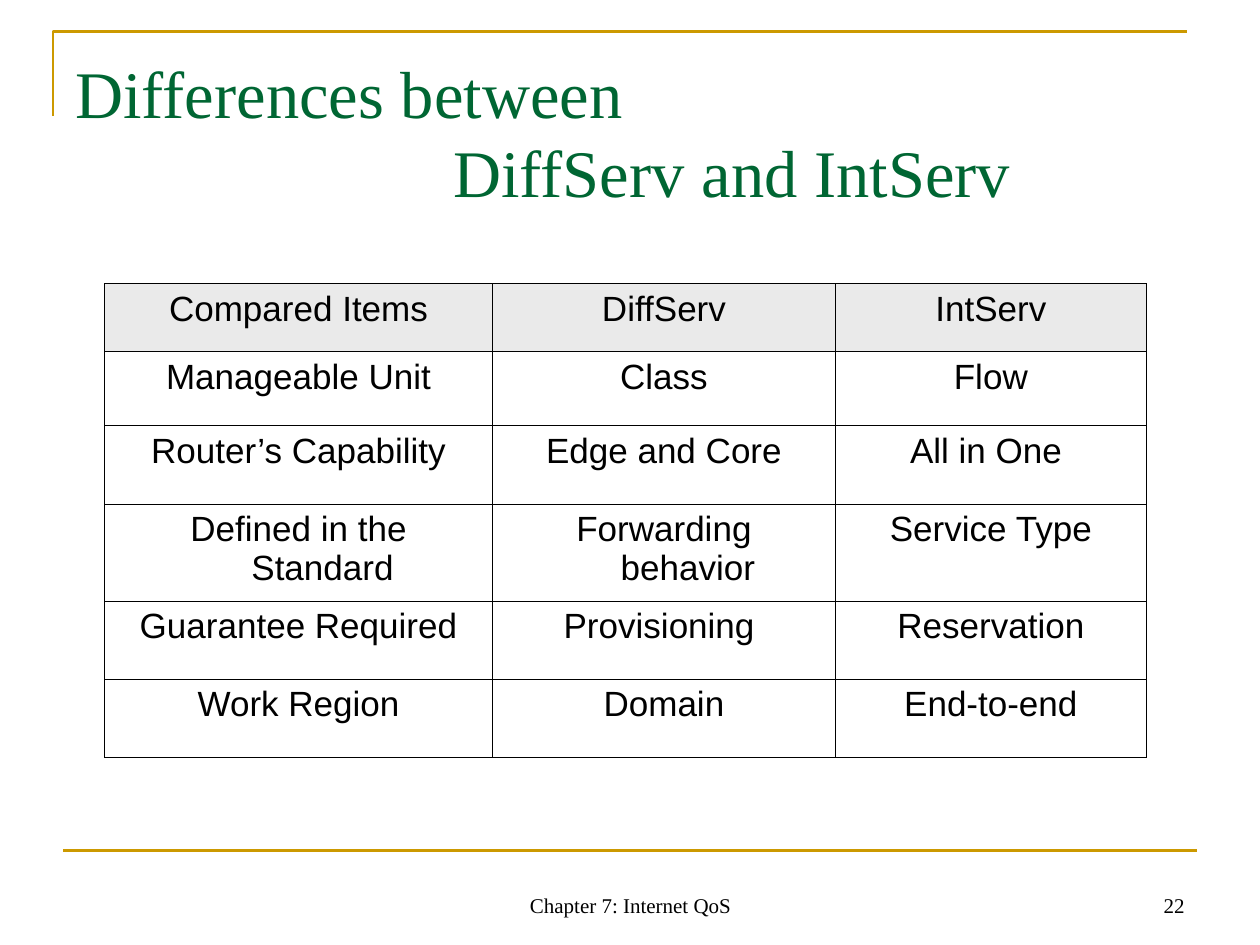
from dataclasses import dataclass

from lxml.etree import SubElement
from pptx import Presentation
from pptx.dml.color import RGBColor as Color
from pptx.enum.shapes import MSO_CONNECTOR as Connector
from pptx.enum.text import MSO_ANCHOR as Anchor, PP_ALIGN as Align
from pptx.oxml.ns import qn
from pptx.util import Inches, Pt


@dataclass(frozen=True)
class Theme:
    gold: Color = Color.from_string("CC9900")
    green: Color = Color.from_string("006633")
    black: Color = Color.from_string("000000")
    white: Color = Color.from_string("FFFFFF")
    header: Color = Color.from_string("EAEAEA")
    serif: str = "Times New Roman"
    sans: str = "Arial"
    title_size: int = 38
    table_size: int = 20
    footer_size: int = 12
    rule_width: float = 1.5
    border_width: float = 0.45


theme = Theme()


def style_para(para, text, name, size, color, align=Align.LEFT, left=0, hanging=0):
    para.text = text
    para.alignment = align
    para.font.name = name
    para.font.size = Pt(size)
    para.font.color.rgb = color
    properties = para._p.get_or_add_pPr()
    properties.set("marL", str(Inches(left)))
    properties.set("indent", str(-Inches(hanging)))


def add_box(left, top, width, height, anchor):
    box = page.shapes.add_textbox(Inches(left), Inches(top), Inches(width), Inches(height))
    box.text_frame.word_wrap = True
    box.text_frame.vertical_anchor = anchor
    return box.text_frame


deck = Presentation()
deck.slide_width, deck.slide_height = Inches(10), Inches(7.5)
page = deck.slides.add_slide(deck.slide_layouts[6])

builder = page.shapes.build_freeform(Inches(0.42), Inches(0.92))
builder.add_line_segments([(Inches(0.42), Inches(0.25)), (Inches(9.42), Inches(0.25))], close=False)
corner = builder.convert_to_shape()
corner.shadow.inherit = False
corner.fill.background()
rule = page.shapes.add_connector(Connector.STRAIGHT, Inches(0.5), Inches(6.75), Inches(9.5), Inches(6.75))
SubElement(rule._element.spPr, qn("a:effectLst"))
for outline in (corner.line, rule.line):
    outline.color.rgb = theme.gold
    outline.width = Pt(theme.rule_width)

title = add_box(0.5, 0.3, 9, 1.25, Anchor.TOP)
title.margin_top = Inches(0.11)
for text, left in (("Differences between", 0), ("DiffServ and IntServ", 3)):
    para = title.paragraphs[0] if left == 0 else title.add_paragraph()
    style_para(para, text, theme.serif, theme.title_size, theme.green, left=left)

rows = [
    ("Compared Items", "DiffServ", "IntServ"),
    ("Manageable Unit", "Class", "Flow"),
    ("Router’s Capability", "Edge and Core", "All in One "),
    ("Defined in the Standard", "Forwarding behavior", "Service Type"),
    ("Guarantee Required", "Provisioning ", "Reservation"),
    ("Work Region", "Domain", "End-to-end"),
]
widths = (3.08, 2.72, 2.47)
heights = (0.54, 0.59, 0.62, 0.77, 0.62, 0.62)
table = page.shapes.add_table(
    len(rows), len(widths), Inches(0.83), Inches(2.25), Inches(sum(widths)), Inches(sum(heights))
).table
table.horz_banding = False
for column, width in zip(table.columns, widths):
    column.width = Inches(width)
for row, height, texts in zip(table.rows, heights, rows):
    row.height = Inches(height)
    for cell, text in zip(row.cells, texts):
        para = cell.text_frame.paragraphs[0]
        style_para(para, text, theme.sans, theme.table_size, theme.black, Align.CENTER, 0.38, 0.38)
        para.space_before = Pt(5)
        properties = cell._tc.get_or_add_tcPr()
        for side in ("lnL", "lnR", "lnT", "lnB"):
            border = SubElement(properties, qn(f"a:{side}"), w=str(Pt(theme.border_width)))
            paint = SubElement(border, qn("a:solidFill"))
            SubElement(paint, qn("a:srgbClr"), val=str(theme.black))
        cell.fill.solid()
        cell.fill.fore_color.rgb = theme.header if texts is rows[0] else theme.white

for text, left, width, align in (
    ("Chapter 7: Internet QoS", 3.42, 3.17, Align.CENTER),
    ("22", 7.17, 2.33, Align.RIGHT),
):
    footer = add_box(left, 6.83, width, 0.5, Anchor.BOTTOM)
    style_para(footer.paragraphs[0], text, theme.serif, theme.footer_size, theme.black, align)

deck.save("out.pptx")
